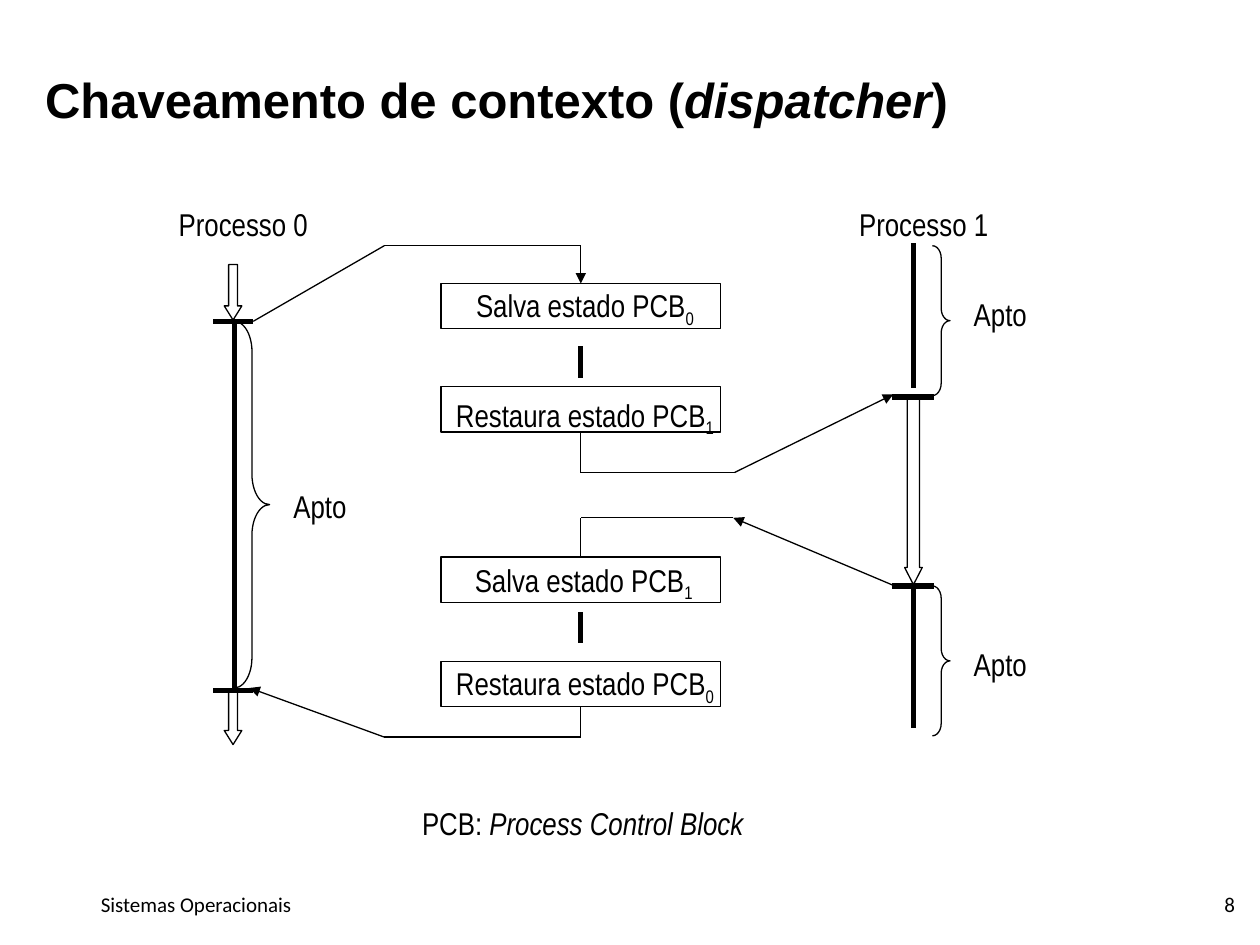
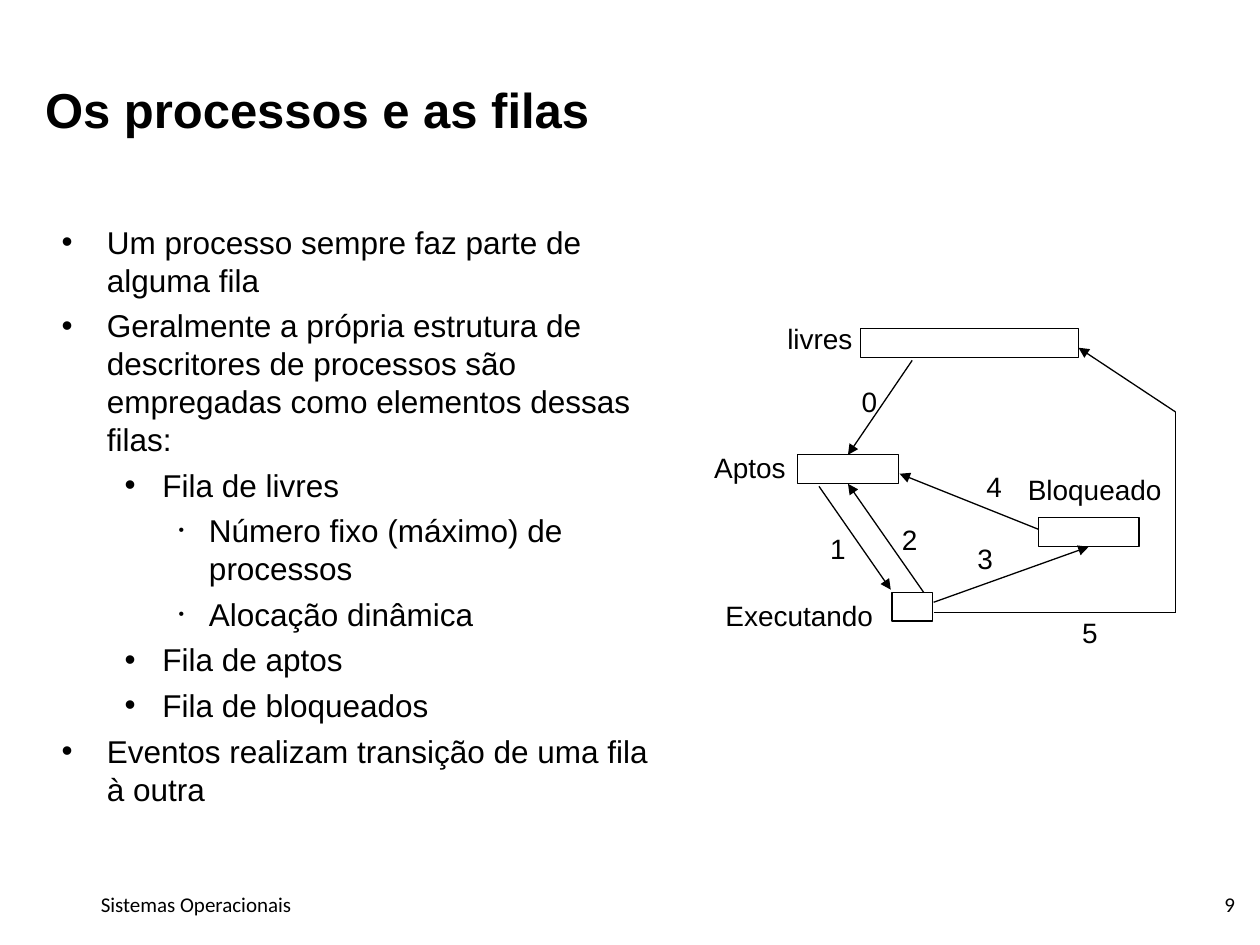
import pptx
import pptx.dml.color
import pptx.enum.shapes
import pptx.enum.text
import pptx.oxml
import pptx.oxml.ns
import pptx.util
from lxml import etree

PX = 9144  # 100 px to the inch
BLACK = pptx.dml.color.RGBColor(0, 0, 0)
THIN, THICK = 0.75, 3
SHAPE = pptx.enum.shapes.MSO_SHAPE
ALIGN = pptx.enum.text.PP_ALIGN
ANCHOR = pptx.enum.text.MSO_ANCHOR
FIT = pptx.enum.text.MSO_AUTO_SIZE
qn = pptx.oxml.ns.qn

TITLE = {"name": "Arial", "size": pptx.util.Pt(28), "bold": True}
FOOTER = {"name": "Calibri", "size": pptx.util.Pt(12)}
NARROW = {"name": "Arial Narrow", "size": pptx.util.Pt(18)}
BODY = {"name": "Arial", "size": pptx.util.Pt(18)}
QUEUE = {"name": "Arial", "size": pptx.util.Pt(16)}
ITALIC = {"italic": True}
SUBSCRIPT = {"baseline": "-25000"}

deck = pptx.Presentation()
deck.slide_width, deck.slide_height = 1000 * PX, 750 * PX
joints = {}  # (slide id, x, y) of a side's middle -> (box, connection site)


def add_text(page, at, paragraphs, style, wrap=False, margins=(10, 5), align=ALIGN.LEFT):
    """Each paragraph is a list of (text, extra format) runs; unwrapped boxes fit their text."""
    box = page.shapes.add_textbox(*(n * PX for n in at))
    frame = box.text_frame
    frame.word_wrap = wrap
    frame.auto_size = FIT.NONE if wrap else FIT.SHAPE_TO_FIT_TEXT
    frame.margin_left = frame.margin_right = margins[0] * PX
    frame.margin_top = frame.margin_bottom = margins[1] * PX
    for index, runs in enumerate(paragraphs):
        para = frame.paragraphs[0] if index == 0 else frame.add_paragraph()
        para.alignment = align
        for text, extra in runs:
            span = para.add_run()
            span.text = text
            span.font.color.rgb = BLACK
            for key, value in {**style, **extra}.items():
                if key == "baseline":
                    span._r.get_or_add_rPr().set(key, value)
                else:
                    setattr(span.font, key, value)
    return frame


def add_line(page, start, end, width=THIN, arrow=False):
    """Draw a straight line, joined to a box where it ends at a side's middle."""
    line = page.shapes.add_connector(
        pptx.enum.shapes.MSO_CONNECTOR.STRAIGHT, *(n * PX for n in (*start, *end)))
    line.line.color.rgb = BLACK
    line.line.width = pptx.util.Pt(width)
    properties = line._element.spPr
    outline = properties.find(qn("a:ln"))
    if width == THICK:
        outline.set("cap", "sq")
    if arrow:
        etree.SubElement(outline, qn("a:tailEnd"), type="triangle")
    etree.SubElement(properties, qn("a:effectLst"))
    for point, connect in ((start, line.begin_connect), (end, line.end_connect)):
        if (page.slide_id, *point) in joints:
            connect(*joints[(page.slide_id, *point)])


# Title and footer of both slides
pages = []
titles = [
    (8, 57, [("Chaveamento de contexto (", {}), ("dispatcher", ITALIC), (")", {})]),
    (9, 65, [("Os processos e as filas", {})]),
]
for number, top, title in titles:
    page = deck.slides.add_slide(deck.slide_layouts[6])
    pages.append(page)
    add_text(page, (75, 703, 700, 33), [[("Sistemas Operacionais", {})]], FOOTER, True, (5, 5))
    frame = add_text(page, (844, 704, 146, 27), [[(str(number), {})]], FOOTER, True, (10, 0),
                     ALIGN.RIGHT)
    frame.vertical_anchor = ANCHOR.MIDDLE
    frame = add_text(page, (26, top, 831, 91), [title], TITLE, True)
    frame.paragraphs[0].line_spacing = 0.85
switch_page, queue_page = pages

# Outlined shapes: page, preset, place, adjustments
outlines = [
    (switch_page, SHAPE.DOWN_ARROW, (178, 210, 14, 44), (0.5, 0.8)),
    (switch_page, SHAPE.DOWN_ARROW, (178, 548, 14, 43), (0.5, 0.8)),
    (switch_page, SHAPE.DOWN_ARROW, (718, 315, 14, 149), (0.7, 0.97)),
    (switch_page, SHAPE.RIGHT_BRACE, (186, 255, 28, 291), (0.86, 0.5)),
    (switch_page, SHAPE.RIGHT_BRACE, (740, 195, 14, 119), (0.7, 0.5)),
    (switch_page, SHAPE.RIGHT_BRACE, (740, 465, 14, 119), (0.7, 0.5)),
    (queue_page, SHAPE.RECTANGLE, (683, 261, 173, 23), ()),
    (queue_page, SHAPE.RECTANGLE, (633, 361, 80, 23), ()),
    (queue_page, SHAPE.RECTANGLE, (708, 470, 32, 23), ()),
    (queue_page, SHAPE.RECTANGLE, (824, 411, 80, 23), ()),
]
for top in (225, 307, 442, 525):
    outlines.append((switch_page, SHAPE.RECTANGLE, (350, top, 222, 36), ()))
for page, preset, at, adjustments in outlines:
    shape = page.shapes.add_shape(preset, *(n * PX for n in at))
    shape.shadow.inherit = False
    shape.fill.background()
    shape.line.color.rgb = BLACK
    shape.line.width = pptx.util.Pt(THIN)
    for index, value in enumerate(adjustments):
        shape.adjustments[index] = value
    if preset == SHAPE.RECTANGLE:
        left, top, width, height = at
        middle = left + width // 2
        joints[(page.slide_id, middle, top)] = (shape, 0)
        joints[(page.slide_id, middle, top + height)] = (shape, 2)

# Context switch: process timelines and links between boxes
thick_lines = [
    ((186, 255), (186, 546)), ((725, 195), (725, 306)), ((725, 465), (725, 576)),
    ((461, 277), (461, 298)), ((461, 488), (461, 508)),
]
for left, right, heights in ((171, 199, (255, 548)), (710, 739, (315, 465))):
    thick_lines += [((left, y), (right, y)) for y in heights]
for start, end in thick_lines:
    add_line(switch_page, start, end, THICK)

# Each route is a chain of points; the flags tell which legs have an arrowhead
routes = [
    (switch_page, [(201, 255), (305, 195), (461, 195), (461, 225)], (0, 0, 1)),
    (switch_page, [(461, 343), (461, 375), (583, 375), (709, 313)], (0, 0, 1)),
    (switch_page, [(710, 465), (582, 411), (461, 411), (461, 442)], (1, 0, 0)),
    (switch_page, [(461, 561), (461, 585), (305, 585), (198, 546)], (0, 0, 1)),
    (queue_page, [(724, 286), (673, 361)], (1,)),
    (queue_page, [(650, 386), (707, 468)], (1,)),
    (queue_page, [(733, 470), (673, 384)], (1,)),
    (queue_page, [(741, 478), (864, 434)], (1,)),
    (queue_page, [(824, 420), (714, 376)], (1,)),
    (queue_page, [(741, 486), (933, 486), (933, 327), (856, 276)], (0, 0, 1)),
]
for page, points, arrows in routes:
    for start, end, arrow in zip(points, points[1:], arrows):
        add_line(page, start, end, arrow=arrow)

# Labels of the context switch
states = [
    ("Salva", "0", 368, 222, 193), ("Restaura", "1", 352, 309, 225),
    ("Salva", "1", 367, 440, 193), ("Restaura", "0", 352, 522, 225),
]
for action, process, left, top, width in states:
    runs = [(f"{action} estado PCB", {}), (process, SUBSCRIPT)]
    add_text(switch_page, (left, top, width, 44), [runs], NARROW)
for text, left, top, width in [
    ("Processo 0", 132, 158, 126), ("Processo 1", 672, 158, 126),
    ("Apto", 223, 382, 64), ("Apto", 763, 229, 64), ("Apto", 763, 507, 64),
]:
    add_text(switch_page, (left, top, width, 40), [[(text, {})]], NARROW)
add_text(switch_page, (325, 633, 275, 40),
         [[("PCB: ", {}), ("Process Control Block", ITALIC)]], NARROW, align=ALIGN.CENTER)

# Labels of the queues and their transitions
for text, left, top, width in [
    ("livres", 615, 250, 75), ("Aptos", 557, 353, 80),
    ("Executando", 566, 470, 140), ("Bloqueado", 806, 370, 130),
    ("0", 674, 300, 34), ("1", 649, 417, 34), ("2", 706, 410, 34),
    ("3", 766, 425, 34), ("4", 773, 368, 34), ("5", 849, 484, 34),
]:
    add_text(queue_page, (left, top, width, 37), [[(text, {})]], QUEUE)

# Bulleted text about the queues
topics = [
    (0, "Um processo sempre faz parte de alguma fila"),
    (0, "Geralmente a própria estrutura de descritores de processos são empregadas "
        "como elementos dessas filas:"),
    (1, "Fila de livres"),
    (2, "Número fixo (máximo) de processos"),
    (2, "Alocação dinâmica"),
    (1, "Fila de aptos"),
    (1, "Fila de bloqueados"),
    (0, "Eventos realizam transição de uma fila à outra"),
]
bullet_levels = [(36, 36, 100), (80, 30, 100), (117, 24, 50)]  # margin, hanging, bullet percent
frame = add_text(queue_page, (39, 172, 492, 481), [[(text, {})] for _, text in topics], BODY, True)
for index, (para, (level, _)) in enumerate(zip(frame.paragraphs, topics)):
    margin, hanging, percent = bullet_levels[level]
    properties = para._p.get_or_add_pPr()
    properties.set("marL", str(margin * PX))
    properties.set("indent", str(-hanging * PX))
    etree.SubElement(properties, qn("a:buSzPct"), val=str(percent * 1000))
    etree.SubElement(properties, qn("a:buFont"), typeface="Arial")
    etree.SubElement(properties, qn("a:buChar"), char="•")
    para.level = level
    if index:
        para.space_before = pptx.util.Pt(4.5)

deck.save("out.pptx")
